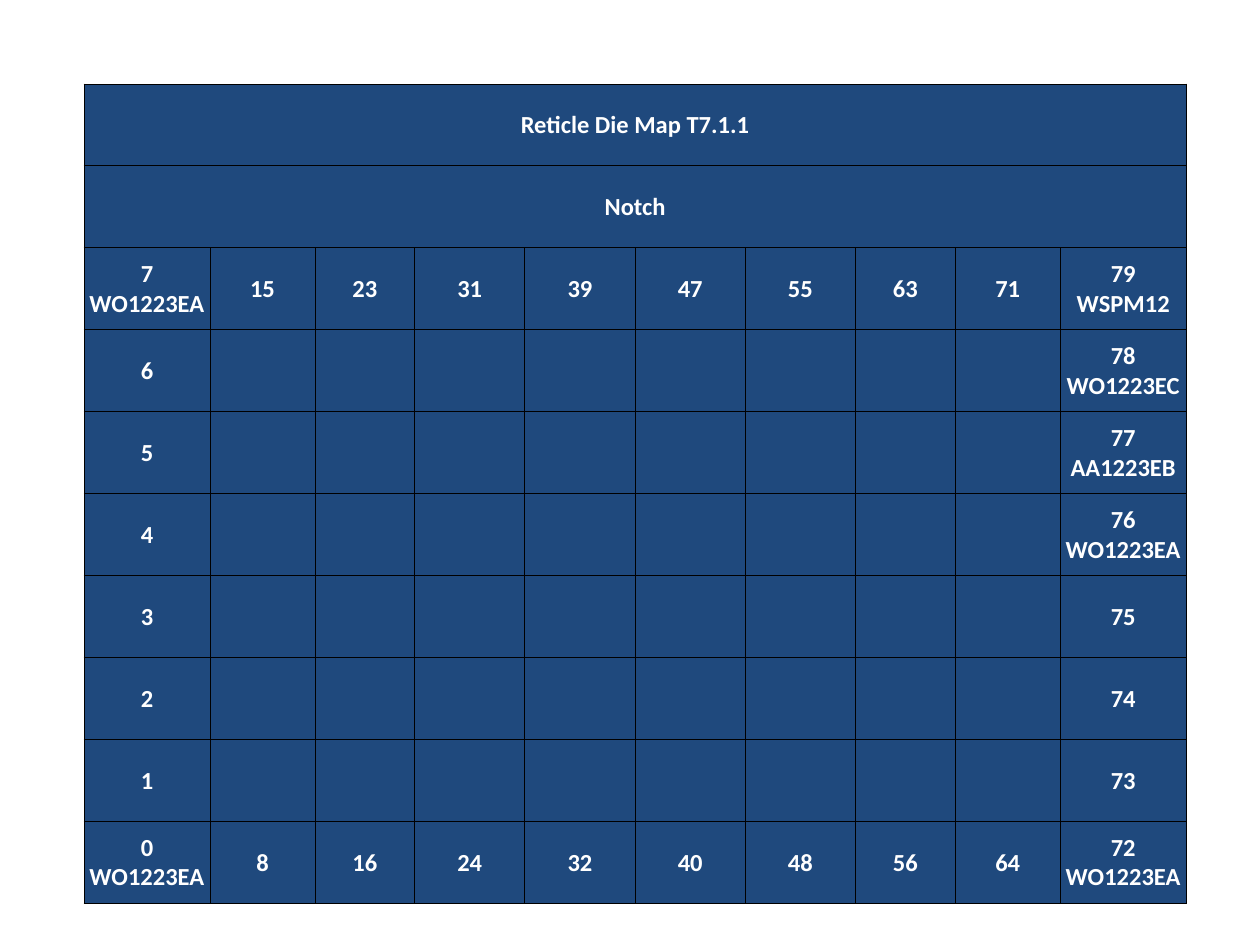
from dataclasses import dataclass

from lxml import etree
from pptx import Presentation
from pptx.dml.color import RGBColor
from pptx.enum.text import MSO_ANCHOR, PP_ALIGN
from pptx.oxml.ns import qn
from pptx.util import Pt

MIDDLE = MSO_ANCHOR.MIDDLE
CENTER = PP_ALIGN.CENTER
BLANK_LAYOUT = 6

HEADINGS = ["Reticle Die Map T7.1.1", "Notch"]
COLUMN_WIDTHS = [72, 60, 57, 63, 63, 63, 63, 57, 60, 72]
ROW_HEIGHT = 46.8
DIES_PER_COLUMN = 8
LAST_DIE = len(COLUMN_WIDTHS) * DIES_PER_COLUMN - 1
DEVICES = {
    0: "WO1223EA",
    7: "WO1223EA",
    72: "WO1223EA",
    76: "WO1223EA",
    77: "AA1223EB",
    78: "WO1223EC",
    79: "WSPM12",
}


@dataclass(frozen=True)
class Theme:
    """Colours and type of the die map."""

    cell: str = "1F497D"
    text: str = "FFFFFF"
    border: str = "000000"
    font: str = "Calibri"
    size: float = 14
    border_width: float = 0.5


class SlideBuilder:
    """Draws elements on the current slide in one style."""

    def __init__(self, slide, theme):
        """Keep the slide and the theme."""
        self.slide = slide
        self.theme = theme

    def apply(self, target, formats):
        """Set each format value on the target."""
        for attribute, value in formats.items():
            setattr(target, attribute, value)

    def border(self, cell):
        """Outline all four sides of a cell."""
        properties = cell._tc.get_or_add_tcPr()
        for position, side in enumerate(("lnL", "lnR", "lnT", "lnB")):
            line = etree.Element(qn(f"a:{side}"), w=str(Pt(self.theme.border_width)))
            fill = etree.SubElement(line, qn("a:solidFill"))
            etree.SubElement(fill, qn("a:srgbClr"), val=self.theme.border)
            properties.insert(position, line)

    def cell(self, cell, label):
        """Fill, outline and label one cell."""
        self.apply(cell, {
            "text": label,
            "vertical_anchor": MIDDLE,
            "margin_left": Pt(0.72),
            "margin_right": Pt(0.72),
            "margin_top": Pt(0.72),
            "margin_bottom": Pt(0),
        })
        cell.fill.solid()
        cell.fill.fore_color.rgb = RGBColor.from_string(self.theme.cell)
        self.border(cell)
        for paragraph in cell.text_frame.paragraphs:
            paragraph.alignment = CENTER
            for run in paragraph.runs:
                self.apply(run.font, {
                    "name": self.theme.font,
                    "size": Pt(self.theme.size),
                    "bold": True,
                })
                run.font.color.rgb = RGBColor.from_string(self.theme.text)

    def table(self, left, top, widths, row_height, labels):
        """Add a table with one label per cell."""
        die_map = self.slide.shapes.add_table(
            len(labels), len(widths), Pt(left), Pt(top),
            Pt(sum(widths)), Pt(row_height * len(labels)),
        ).table
        self.apply(die_map, {"first_row": False, "horz_banding": False})
        for column, width in zip(die_map.columns, widths):
            column.width = Pt(width)
        for row_index, row_labels in enumerate(labels):
            die_map.rows[row_index].height = Pt(row_height)
            for column_index, label in enumerate(row_labels):
                self.cell(die_map.cell(row_index, column_index), label)
        return die_map


def die_label(column, level):
    """Return the number and device of a die on the reticle's edge."""
    die = column * DIES_PER_COLUMN + level
    on_edge = level in (0, DIES_PER_COLUMN - 1) or die < DIES_PER_COLUMN or die > LAST_DIE - DIES_PER_COLUMN
    if not on_edge:
        return ""
    return f"{die}\n{DEVICES[die]}" if die in DEVICES else str(die)


def main():
    """Build and save the die map slide."""
    presentation = Presentation()
    presentation.slide_width = Pt(720)
    presentation.slide_height = Pt(540)
    slide = presentation.slides.add_slide(presentation.slide_layouts[BLANK_LAYOUT])
    builder = SlideBuilder(slide, Theme())

    column_count = len(COLUMN_WIDTHS)
    heading_rows = [[heading] + [""] * (column_count - 1) for heading in HEADINGS]
    die_rows = [
        [die_label(column, level) for column in range(column_count)]
        for level in reversed(range(DIES_PER_COLUMN))
    ]
    die_map = builder.table(48, 48, COLUMN_WIDTHS, ROW_HEIGHT, heading_rows + die_rows)
    for row in range(len(HEADINGS)):
        die_map.cell(row, 0).merge(die_map.cell(row, column_count - 1))

    presentation.save("out.pptx")


if __name__ == "__main__":
    main()
